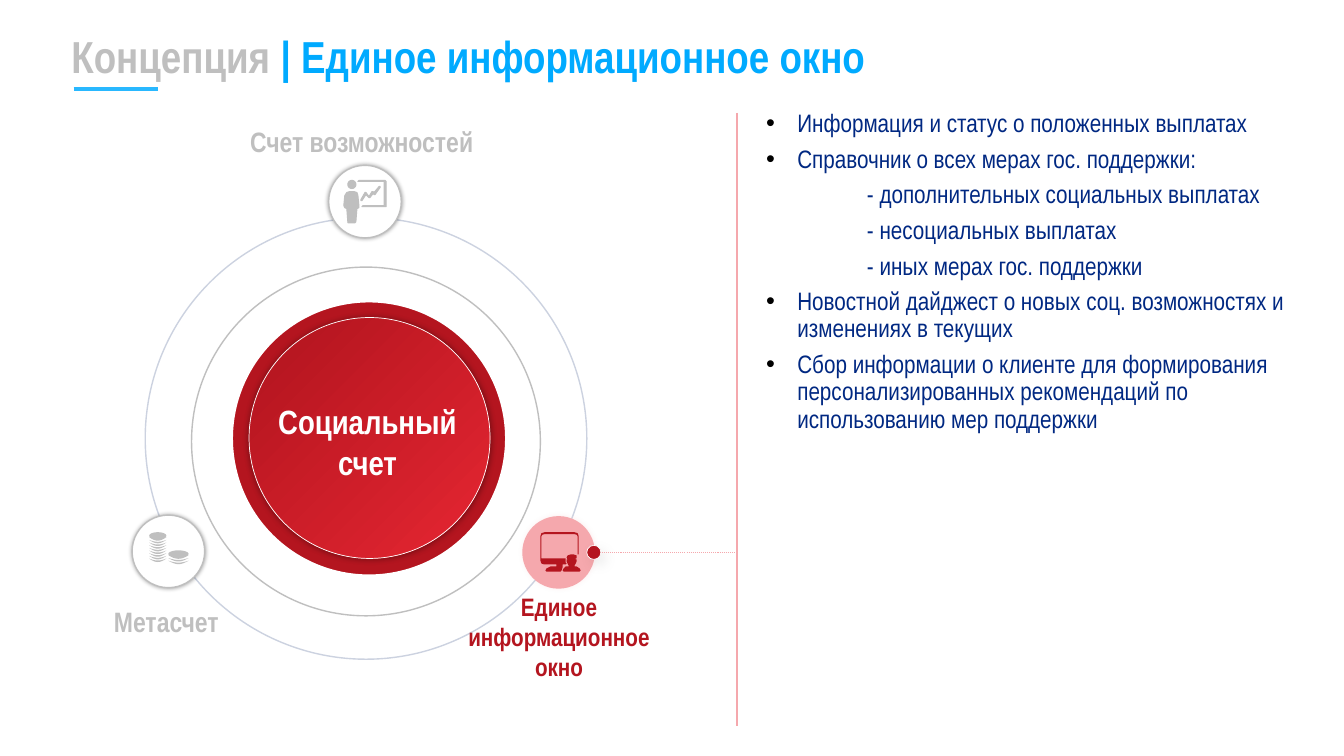
import math
import pptx
import pptx.util
import pptx.dml.color
import pptx.enum.dml
import pptx.enum.shapes
import pptx.enum.text
import pptx.oxml
import pptx.oxml.ns

UNIT = 9144  # the grid has 100 columns and 100 rows to the inch
COLS, ROWS = 1333, 750
FONT = "Arial Narrow"
C = {"red": "B4151F", "dark": "B61620", "bright": "E62632", "pink": "F5A8AD",
     "glow": "FAD4D6", "grey": "BFBFBF", "orbit": "CCD2E0", "white": "FFFFFF",
     "black": "000000", "blue": "00AAFF", "accent": "29B8FF", "navy": "002882"}
ALIGN = pptx.enum.text.PP_ALIGN
ANCHOR = pptx.enum.text.MSO_ANCHOR

BENEFITS = [
    (True, "Информация и статус о положенных выплатах"),
    (True, "Справочник о всех мерах гос. поддержки:"),
    (False, "- дополнительных социальных выплатах"),
    (False, "- несоциальных выплатах"),
    (False, "- иных мерах гос. поддержки"),
    (True, "Новостной дайджест о новых соц. возможностях и изменениях в текущих"),
    (True, "Сбор информации о клиенте для формирования персонализированных "
           "рекомендаций по использованию мер поддержки"),
]


def ellipse_points(cx, cy, rx, ry, n=32):
    return [(cx + rx * math.cos(2 * math.pi * i / n),
             cy + ry * math.sin(2 * math.pi * i / n)) for i in range(n)]


# Icon outlines, in grid units from the corner of their badge
PRESENTER = [
    [(29, 30), (28, 27), (25, 26), (21, 26), (18, 27), (16, 30), (15, 40), (16, 42),
     (18, 43), (19, 56), (19, 57), (26, 57), (27, 56), (28, 43), (30, 42), (30, 40)],
    ellipse_points(23, 19, 4, 4),
    [(56, 15), (30, 15), (29, 16), (30, 16), (55, 16), (55, 40), (34, 40), (33, 41),
     (34, 41), (56, 41), (57, 41), (57, 16)],
    [(40, 32), (41, 32), (44, 28), (45, 29), (46, 29), (51, 22), (51, 21), (50, 21),
     (45, 27), (44, 26), (43, 26), (40, 31), (37, 27), (36, 27), (32, 34), (32, 35),
     (33, 35), (37, 29)],
]
MONITOR = [
    [(40, 50), (40, 48), (43, 48), (44, 47), (43, 46), (43, 42), (19, 42), (19, 20),
     (20, 18.5), (22, 18), (52, 18), (54, 18.5), (55, 20), (55, 38), (56, 38), (56, 20),
     (55, 17), (52, 16), (22, 16), (19, 17), (18, 20), (18, 44), (19, 47), (22, 48),
     (34, 48), (34, 50), (28, 50), (24, 52), (23, 54), (24, 55), (38, 55), (39, 54),
     (40, 51)],
    [(54, 50), (52, 50), (52, 49), (53, 47), (54, 45), (54, 43), (53, 43), (53, 42),
     (54, 42), (54, 39), (51, 38), (48, 38), (45, 39), (44, 41), (45, 43), (44, 43),
     (44, 45), (45, 47), (46, 49), (46, 50), (43, 50), (41, 52), (40, 54), (41, 55),
     (57, 55), (58, 54), (57, 52)],
]


def coin_stack(x, y, w, rims):
    """Give a top coin and the crescent rims of the coins below it."""
    arc = [i / 12 for i in range(13)]
    stack = [ellipse_points(x + w / 2, y + 3.5, w / 2, 3.5)]
    for k in range(rims):
        top = y + 5 + 2.65 * k
        stack.append([(x + w * t, top + 3.4 * math.sin(math.pi * t)) for t in arc]
                     + [(x + w * t, top + 1.9 * math.sin(math.pi * t)) for t in arc[::-1]])
    return stack


COINS = coin_stack(17, 17, 17, 9) + coin_stack(36, 35, 20, 3)


def rgb(name):
    return pptx.dml.color.RGBColor.from_string(C[name])


def emu(*lengths):
    return [round(v * UNIT) for v in lengths]


def style(sp, fill=None, line=None, width=1.0):
    sp.shadow.inherit = False
    if fill:
        sp.fill.solid()
        sp.fill.fore_color.rgb = rgb(fill)
    else:
        sp.fill.background()
    if line:
        sp.line.color.rgb = rgb(line)
        sp.line.width = pptx.util.Pt(width)
    else:
        sp.line.fill.background()


def cast_shadow(sp, color, alpha, blur, dist=0, angle=0):
    effects = sp._element.spPr.find(pptx.oxml.ns.qn("a:effectLst"))
    effects.append(pptx.oxml.parse_xml(
        f'<a:outerShdw {pptx.oxml.ns.nsdecls("a")} blurRad="{blur * 12700}" '
        f'dist="{dist * 12700}" dir="{angle * 60000}" algn="ctr" rotWithShape="0">'
        f'<a:srgbClr val="{C[color]}"><a:alpha val="{alpha * 1000}"/></a:srgbClr>'
        '</a:outerShdw>'))


def add_circle(s, x, y, d, **look):
    sp = s.shapes.add_shape(pptx.enum.shapes.MSO_SHAPE.OVAL, *emu(x, y, d, d))
    style(sp, **look)
    return sp


def add_line(s, x1, y1, x2, y2, color, width, dash=None):
    ln = s.shapes.add_connector(pptx.enum.shapes.MSO_CONNECTOR.STRAIGHT,
                                *emu(x1, y1, x2, y2))
    ln.line.color.rgb = rgb(color)
    ln.line.width = pptx.util.Pt(width)
    if dash:
        ln.line.dash_style = dash
    ln._element.spPr.append(pptx.oxml.parse_xml(
        f'<a:effectLst {pptx.oxml.ns.nsdecls("a")}/>'))


def add_text(s, box, paragraphs, size, bold=True, align=ALIGN.LEFT,
             anchor=ANCHOR.TOP, wrap=True, inset=True):
    """Write paragraphs, each a list of (text, colour) runs."""
    tf = s.shapes.add_textbox(*emu(*box)).text_frame
    tf.word_wrap, tf.vertical_anchor = wrap, anchor
    if not inset:
        tf.margin_left = tf.margin_right = tf.margin_top = tf.margin_bottom = 0
    for i, runs in enumerate(paragraphs):
        p = tf.paragraphs[0] if i == 0 else tf.add_paragraph()
        p.alignment = align
        for text, color in runs:
            r = p.add_run()
            r.text = text
            r.font.name, r.font.size, r.font.bold = FONT, pptx.util.Pt(size), bold
            r.font.color.rgb = rgb(color)
    return tf


def add_icon(s, x, y, contours, color, width=None):
    builder = None
    for contour in contours:
        pts = [emu(x + dx, y + dy) for dx, dy in contour]
        if builder:
            builder.move_to(*pts[0])
        else:
            builder = s.shapes.build_freeform(*pts[0])
        builder.add_line_segments(pts[1:], close=True)
    style(builder.convert_to_shape(), color, color if width else None, width or 0)


def draw_title(s, x, y, w, h):
    add_text(s, (x, y, w, h), [[("Концепция ", "grey"),
                               ("| Единое информационное окно", "blue")]],
             32, anchor=ANCHOR.MIDDLE)
    add_line(s, x + 12, y + h + 6, x + 96, y + h + 6, "accent", 3)


def draw_core(s, x, y, d):
    """Draw the red disc, its two orbits and its caption."""
    add_circle(s, x, y, d, fill="red", line="white", width=3)
    disc = add_circle(s, x + 18, y + 17, d - 35, fill="red", line="white", width=0.5)
    disc.fill.gradient()
    disc.fill.gradient_angle = 315
    for stop, pos, color in zip(disc.fill.gradient_stops, (0.11, 1), ("dark", "bright")):
        stop.position, stop.color.rgb = pos, rgb(color)
    cast_shadow(disc, "black", 40, 5)
    add_circle(s, x - 85, y - 82, d + 164, line="orbit")
    add_circle(s, x - 39, y - 33, d + 72, line="grey")
    add_text(s, (x + 12, y + 95, d - 27, 91),
             [[("Социальный", "white")], [("счет", "white")]], 24, align=ALIGN.CENTER)


def draw_badge(s, x, y, icon, label, label_box, active=False, icon_line=None):
    """Draw a round badge; label_box is measured from the badge's corner."""
    sp = add_circle(s, x, y, 72, fill="pink" if active else "white",
                    line=None if active else "grey")
    cast_shadow(sp, "glow" if active else "black", 35, 3)
    color = "red" if active else "grey"
    add_icon(s, x, y, icon, color, icon_line)
    dx, dy, w, h = label_box
    add_text(s, (x + dx, y + dy, w, h), [[(label, color)]], 18 if active else 20,
             align=ALIGN.CENTER if active else ALIGN.LEFT,
             anchor=ANCHOR.MIDDLE, wrap=active, inset=False)


def draw_benefits(s, x, y, w, h):
    tf = add_text(s, (x, y, w, h), [[(text, "navy")] for _, text in BENEFITS],
                  18, bold=False)
    for p, (bulleted, _) in zip(tf.paragraphs, BENEFITS):
        p.line_spacing, p.space_before = 0.9, pptx.util.Pt(6)
        pPr = p._p.get_or_add_pPr()
        pPr.set("marL", str(31 * UNIT if bulleted else 100 * UNIT))
        pPr.set("indent", str(-31 * UNIT if bulleted else 0))
        ns = pptx.oxml.ns.nsdecls("a")
        marks = ([f'<a:buClr {ns}><a:srgbClr val="{C["black"]}"/></a:buClr>',
                  f'<a:buFont {ns} typeface="Arial"/>', f'<a:buChar {ns} char="•"/>']
                 if bulleted else [f'<a:buNone {ns}/>'])
        for mark in marks:
            pPr.append(pptx.oxml.parse_xml(mark))


def draw_callout(s, x, y, divider):
    """Link the active badge to the divider of the text column."""
    dot = add_circle(s, x, y, 14, fill="red", line="white", width=0.5)
    cast_shadow(dot, "black", 8, 9, 5, 45)
    add_line(s, x + 15, y + 7, divider, y + 7, "pink", 0.75,
             pptx.enum.dml.MSO_LINE.ROUND_DOT)
    add_line(s, divider, 112, divider, 720, "pink", 1.5)


def main():
    prs = pptx.Presentation()
    prs.slide_width, prs.slide_height = emu(COLS, ROWS)
    s = prs.slides.add_slide(prs.slide_layouts[6])
    draw_core(s, 229, 298, 274)
    draw_badge(s, 326, 164, PRESENTER, "Счет возможностей", (-78, -41, 226, 34),
               icon_line=0.75)
    draw_badge(s, 131, 511, COINS, "Метасчет", (-18, 88, 106, 34))
    draw_badge(s, 518, 512, MONITOR, "Единое информационное окно",
               (-57, 74, 187, 91), active=True)
    draw_title(s, 61, 28, 917, 54)
    draw_benefits(s, 750, 105, 570, 333)
    draw_callout(s, 582, 541, 731)
    prs.save("out.pptx")


if __name__ == "__main__":
    main()
